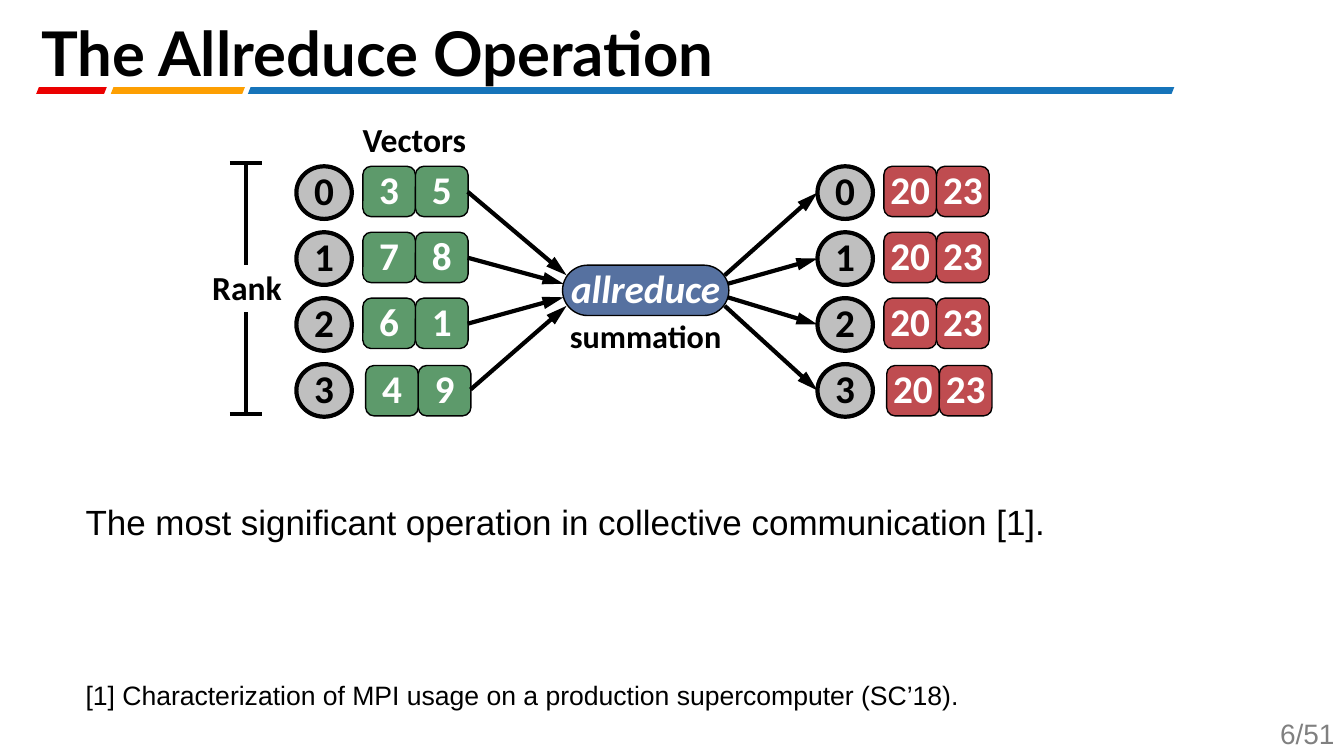
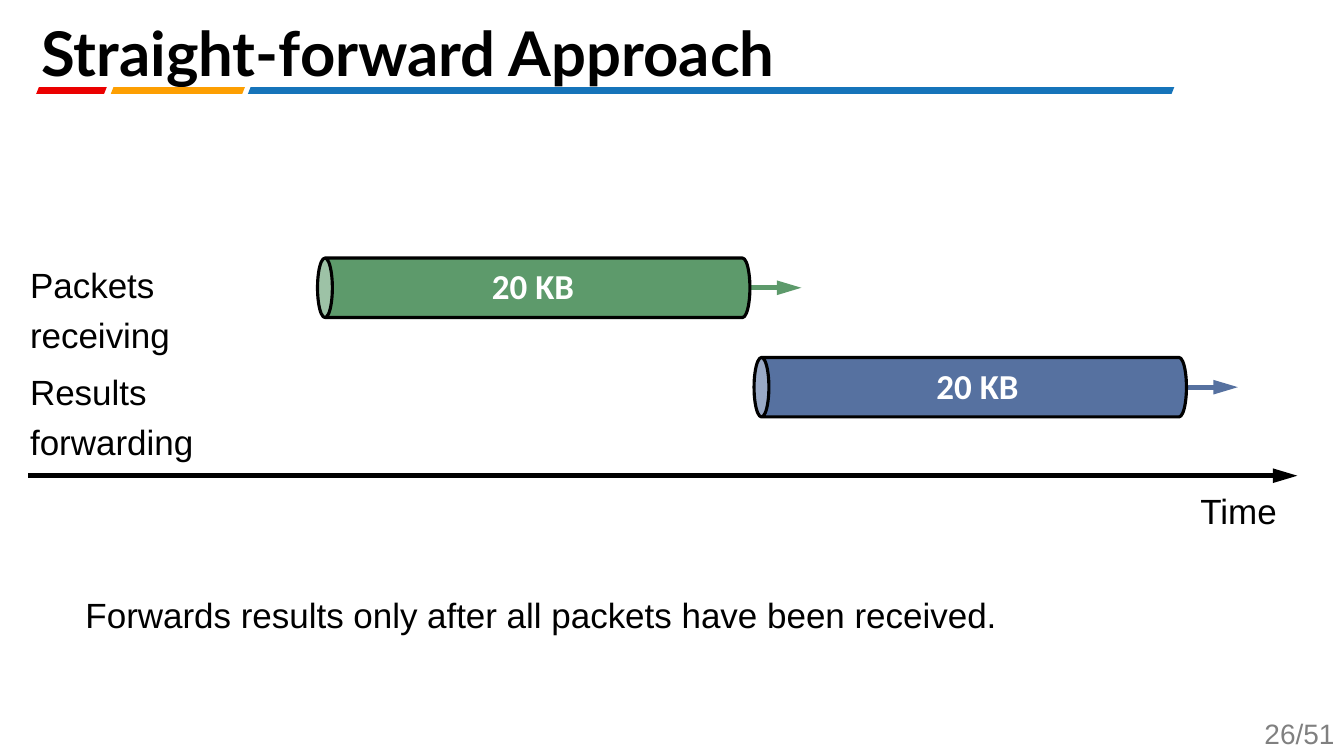
from lxml import etree
from pptx import Presentation
from pptx.dml.color import RGBColor
from pptx.enum.shapes import MSO_CONNECTOR, MSO_SHAPE
from pptx.enum.text import MSO_ANCHOR, MSO_AUTO_SIZE, PP_ALIGN
from pptx.oxml.ns import qn
from pptx.util import Pt

LEFT, MID, RIGHT = PP_ALIGN.LEFT, PP_ALIGN.CENTER, PP_ALIGN.RIGHT
TOP, CENTER, BASE = MSO_ANCHOR.TOP, MSO_ANCHOR.MIDDLE, MSO_ANCHOR.BOTTOM
ROUND, OVAL, CAN = MSO_SHAPE.ROUNDED_RECTANGLE, MSO_SHAPE.OVAL, MSO_SHAPE.CAN
SLANT, STRAIGHT = MSO_SHAPE.PARALLELOGRAM, MSO_CONNECTOR.STRAIGHT

BLACK, WHITE, GRAY, SILVER = "000000", "FFFFFF", "808080", "BFBFBF"
GREEN, RED, BLUE = "5D9A6B", "BF4C50", "5671A0"
BANDS = [(177.1, 661.7, "1674BA"), (25.9, 50.4, "EB0000"), (79.2, 95.8, "FD9F02")]
PAGES = 51
PITCH = 47.1  # distance between ranks


def paint(part, color):
    part.rgb = RGBColor.from_string(color)


def write(shape, text, size=25, color=BLACK, font="Arial", bold=False, slope=False,
          align=LEFT, anchor=TOP, space=None, before=None, inset=None):
    frame = shape.text_frame
    frame.auto_size = MSO_AUTO_SIZE.NONE
    frame.word_wrap = True
    frame.vertical_anchor = anchor
    if inset is not None:
        frame.margin_left = frame.margin_right = Pt(inset)
        frame.margin_top = frame.margin_bottom = Pt(inset)
    para = frame.paragraphs[0]
    para.alignment = align
    if space:
        para.line_spacing = space
    if before is not None:
        para.space_before = Pt(before)
    run = para.add_run()
    run.text = text
    run.font.name, run.font.size = font, Pt(size)
    run.font.bold, run.font.italic = bold, slope
    paint(run.font.color, color)


def label(slide, box, text, **style):
    write(slide.shapes.add_textbox(*map(Pt, box)), text, **style)


def tag(slide, box, text, **style):
    """Bold label without insets."""
    label(slide, box, text, **{"font": "Calibri", "bold": True, "inset": 0, **style})


def draw(slide, kind, box, fill, edge=None, adj=None):
    shape = slide.shapes.add_shape(kind, *map(Pt, box))
    shape.shadow.inherit = False
    shape.fill.solid()
    paint(shape.fill.fore_color, fill)
    if edge:
        paint(shape.line.color, BLACK)
        shape.line.width = Pt(edge)
    else:
        shape.line.fill.background()
    if adj is not None:
        shape.adjustments[0] = adj
    return shape


def node(slide, kind, box, text, fill, edge, color=WHITE, slope=False, adj=None):
    """Shape with a bold centred text."""
    shape = draw(slide, kind, box, fill, edge, adj)
    write(shape, text, size=28, color=color, font="Calibri", bold=True, slope=slope,
          align=MID, anchor=CENTER, space=0.9, inset=0)


def line(slide, start, end, color=BLACK, width=3, arrow=False):
    link = slide.shapes.add_connector(STRAIGHT, *map(Pt, (*start, *end)))
    paint(link.line.color, color)
    link.line.width = Pt(width)
    if arrow:
        edge = link._element.spPr.find(qn("a:ln"))
        etree.SubElement(edge, qn("a:tailEnd"), type="triangle", w="med", len="lg")
    etree.SubElement(link._element.spPr, qn("a:effectLst"))


def base(deck, title, page):
    """Slide with the shared title, bands and page number."""
    slide = deck.slides.add_slide(deck.slide_layouts[5])
    for x, width, color in BANDS:
        draw(slide, SLANT, (x, 62.2, width, 4.8), color, adj=0.4)
    label(slide, (878.4, 508.3, 82, 31.7), f"{page}/{PAGES}",
          size=20, color=GRAY, align=RIGHT)
    head = slide.shapes.title
    head.left, head.top, head.width, head.height = map(Pt, (29.5, 0, 903.6, 61.2))
    write(head, title, size=44, font="Lato", bold=True, anchor=BASE,
          space=0.6, before=10, inset=0)
    return slide


def ranks(slide, x, y, rows, fill):
    """Column of numbered ranks, each with its vector."""
    for i, row in enumerate(rows):
        top = y + i * PITCH
        node(slide, OVAL, (x, top, 39.6, 37.6), str(i), SILVER, 3, color=BLACK)
        shift = 2 if i == len(rows) - 1 else 0  # last vector sits slightly lower right
        for j, value in enumerate(row):
            node(slide, ROUND, (x + 47.5 + shift + j * 37.6, top + shift / 2, 37.6, 36),
                 str(value), fill, 1)


def scale(slide, x, y):
    """Bracket that spans all ranks."""
    for end, gap in ((y, y + 72.5), (y + 179.3, y + 106.6)):
        line(slide, (x - 11.5, end), (x + 11.5, end))
        line(slide, (x, gap), (x, end))
    tag(slide, (x - 40.3, y + 74.2, 82, 26.6), "Rank", size=24, align=MID)


def reduce(slide, x, y):
    """Diagram from input vectors through the sum to the results."""
    ranks(slide, x, y, [(3, 5), (7, 8), (6, 1), (4, 9)], GREEN)
    ranks(slide, x + 372.2, y, [(20, 23)] * 4, RED)
    # Arrows meet the pill at (inset from its edge, height)
    ports = [(2.9, 77.8), (0.7, 83.9), (0.7, 93.6), (2.9, 99.7)]
    for i, (inset, port) in enumerate(ports):
        mid = y + 18.2 + i * PITCH
        shift = 2 if i == 3 else 0
        line(slide, (x + 122.4 + shift, mid), (x + 190.1 + inset, y + port), arrow=True)
        line(slide, (x + 308.9 - inset, y + port), (x + 372.2, mid + 0.6), arrow=True)
    node(slide, ROUND, (x + 190.1, y + 70.6, 118.8, 36), "allreduce", BLUE, 1,
         slope=True, adj=0.5)
    tag(slide, (x + 190.8, y + 107.3, 117.4, 26.6), "summation", size=23, align=MID)
    tag(slide, (x + 46.1, y - 33.8, 76.3, 28), "Vectors", size=24, align=MID)
    scale(slide, x - 36, y - 2.2)


def pipe(slide, x, y, fill, inset):
    """Lying cylinder of packets with an outgoing arrow."""
    long, thick = 308.9, 42.5
    line(slide, (x + long, y + thick / 2), (x + long + 36.7, y + thick / 2),
         color=fill, width=3.5, arrow=True)
    can = draw(slide, CAN, (x + (long - thick) / 2, y - (long - thick) / 2, thick, long),
               fill, 2.25)
    can.rotation = 270
    tag(slide, (x + inset, y + 5, 65, 31), "20 KB", color=WHITE)


def chart(slide, x, y):
    """Time line with receiving and forwarding."""
    label(slide, (x - 5.8, y - 6, 200.2, 76.3), "Packets receiving", space=1.2)
    pipe(slide, x + 206.6, y - 0.5, GREEN, 124.6)
    pipe(slide, x + 518.4, y + 70.5, BLUE, 130.3)
    label(slide, (x - 5.8, y + 70.3, 209.5, 76.3), "Results forwarding", space=1.2)
    line(slide, (x, y + 155), (x + 906.5, y + 155), width=3.5, arrow=True)
    label(slide, (x + 830.1, y + 155, 70.6, 48.2), "Time", space=1.2)


def main():
    deck = Presentation()
    deck.slide_width, deck.slide_height = Pt(960), Pt(540)

    slide = base(deck, "The Allreduce Operation", 6)
    reduce(slide, 211.7, 118.8)
    label(slide, (54, 354.2, 907, 37.4),
          "The most significant operation in collective communication [1].")
    label(slide, (54, 481.7, 898.6, 30.2),
          "[1] Characterization of MPI usage on a production supercomputer (SC’18).", size=19)

    slide = base(deck, "Straight-forward Approach", 26)
    chart(slide, 20.2, 184.8)
    label(slide, (54, 405.4, 892.8, 48.2),
          "Forwards results only after all packets have been received.", space=1.5)

    deck.save("out.pptx")


if __name__ == "__main__":
    main()
